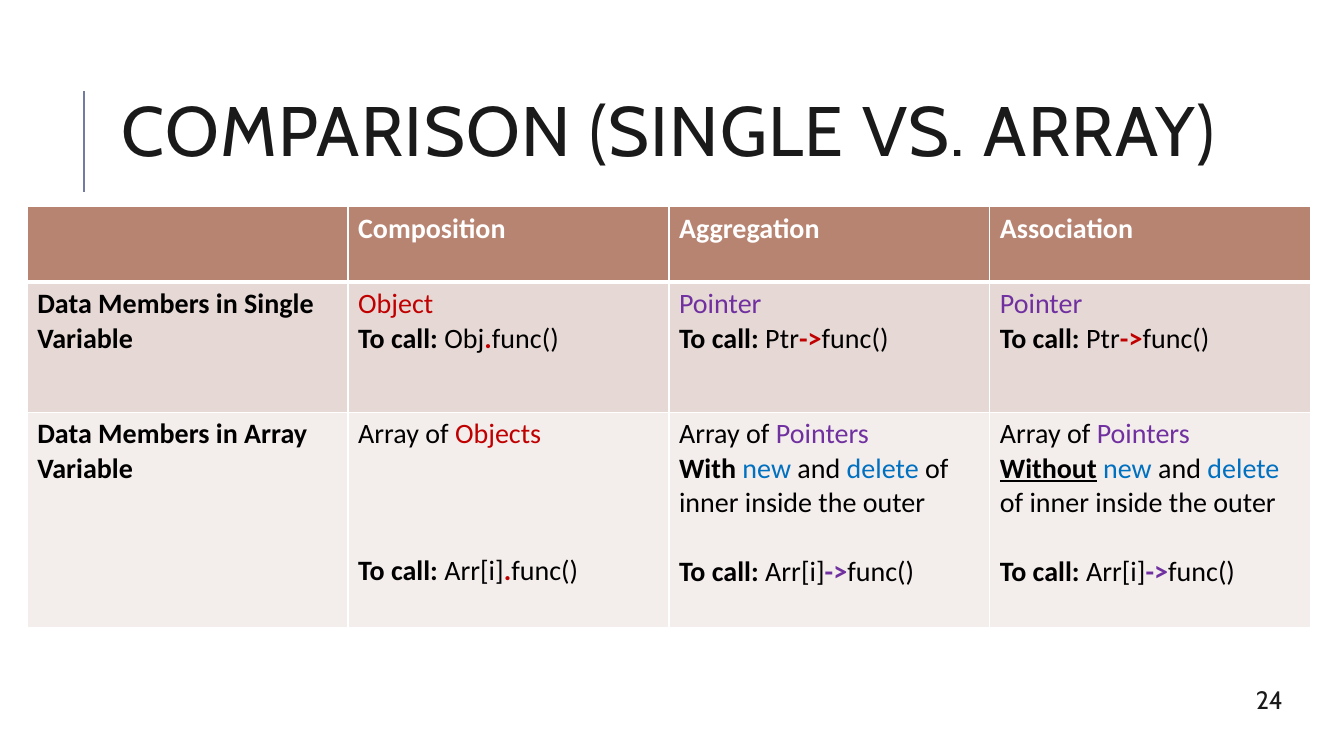
from dataclasses import dataclass

from lxml import etree
from pptx import Presentation
from pptx.dml.color import RGBColor
from pptx.enum.shapes import MSO_CONNECTOR
from pptx.enum.text import MSO_ANCHOR, MSO_AUTO_SIZE, PP_ALIGN
from pptx.oxml.ns import qn
from pptx.util import Inches, Pt

STRAIGHT = MSO_CONNECTOR.STRAIGHT
MIDDLE = MSO_ANCHOR.MIDDLE
NO_AUTOFIT = MSO_AUTO_SIZE.NONE
LEFT, CENTER = PP_ALIGN.LEFT, PP_ALIGN.CENTER
TITLE_ONLY = 5


@dataclass(frozen=True)
class Theme:
    heading_font: str = "Cabin"
    body_font: str = "Calibri"
    title_size: float = 50
    table_size: float = 20
    number_size: float = 18
    table_line: float = 24.4
    ink: str = "1A1A1A"
    black: str = "000000"
    white: str = "FFFFFF"
    red: str = "C00000"
    purple: str = "7030A0"
    blue: str = "0070C0"
    rule: str = "727CA3"
    row_fills: tuple = ("B88472", "E6D9D5", "F3EDEB")


THEME = Theme()


@dataclass(frozen=True)
class Span:
    text: str
    color: str = THEME.black
    bold: bool = False
    underline: bool = False


@dataclass(frozen=True)
class Para:
    spans: tuple
    lines_before: int = 0


def heading(text, color=THEME.black):
    return [Para((Span(text, color, bold=True),))]


def call_line(target, operator, color, lines_before=0):
    spans = (Span("To call: ", bold=True), Span(target),
             Span(operator, color, bold=True), Span("func()"))
    return Para(spans, lines_before)


def single_cell(kind, color, target, operator):
    return [Para((Span(kind, color),)), call_line(target, operator, THEME.red)]


def array_of(kind, color):
    return Para((Span("Array of "), Span(kind, color)))


def pointer_array_cell(*ownership):
    memory = ownership + (Span("new", THEME.blue), Span(" and "),
                          Span("delete", THEME.blue),
                          Span(" of inner inside the outer"))
    return [array_of("Pointers", THEME.purple), Para(memory),
            call_line("Arr[i]", "->", THEME.purple, lines_before=1)]


POINTER = single_cell("Pointer", THEME.purple, "Ptr", "->")
COMPARISON = [
    [[]] + [heading(name, THEME.white)
            for name in ("Composition", "Aggregation", "Association")],
    [heading("Data Members in Single Variable"),
     single_cell("Object", THEME.red, "Obj", "."), POINTER, POINTER],
    [heading("Data Members in Array Variable"),
     [array_of("Objects", THEME.red),
      call_line("Arr[i]", ".", THEME.red, lines_before=3)],
     pointer_array_cell(Span("With ", bold=True)),
     pointer_array_cell(Span("Without", bold=True, underline=True), Span(" "))],
]
ROW_HEIGHTS = (0.75, 1.29, 2.14)


def rgb(color):
    return RGBColor.from_string(color)


def set_font(font, name, size, color):
    font.name = name
    font.size = Pt(size)
    font.color.rgb = rgb(color)


def add_title(page, text, left, top, width, height):
    """Place the title with the thin vertical rule on its left."""
    title = page.shapes.title
    title.left, title.top = Inches(left), Inches(top)
    title.width, title.height = Inches(width), Inches(height)
    frame = title.text_frame
    frame.text = text
    frame.vertical_anchor = MIDDLE
    frame.auto_size = NO_AUTOFIT
    para = frame.paragraphs[0]
    para.alignment = LEFT
    para.line_spacing = 0.8
    set_font(para.font, THEME.heading_font, THEME.title_size, THEME.ink)
    para.runs[0].font._element.set("spc", "100")

    rule_x = Inches(left - 0.28)
    rule = page.shapes.add_connector(STRAIGHT, rule_x, Inches(top + 0.97),
                                     rule_x, Inches(top - 0.03))
    rule.line.color.rgb = rgb(THEME.rule)
    rule.line.width = Pt(1.5)
    etree.SubElement(rule._element.spPr, qn("a:effectLst"))


def add_border(cell, side, points):
    line = etree.SubElement(cell._tc.get_or_add_tcPr(), qn(f"a:ln{side}"),
                            w=str(Pt(points)))
    fill = etree.SubElement(line, qn("a:solidFill"))
    etree.SubElement(fill, qn("a:srgbClr"), val=THEME.white)


def write_cell(cell, paras):
    frame = cell.text_frame
    for index, content in enumerate(paras):
        para = frame.paragraphs[0] if index == 0 else frame.add_paragraph()
        para.space_before = Pt(content.lines_before * THEME.table_line)
        para.font.name = THEME.body_font
        para.font.size = Pt(THEME.table_size)
        for span in content.spans:
            run = para.add_run()
            run.text = span.text
            run.font.color.rgb = rgb(span.color)
            run.font.bold = span.bold
            run.font.underline = span.underline


def add_comparison(page, rows, left, top, width):
    columns = len(rows[0])
    table = page.shapes.add_table(len(rows), columns, Inches(left), Inches(top),
                                  Inches(width), Inches(sum(ROW_HEIGHTS))).table
    table.first_row = table.horz_banding = False
    for column in table.columns:
        column.width = Inches(width / columns)
    for row_index, row in enumerate(rows):
        table.rows[row_index].height = Inches(ROW_HEIGHTS[row_index])
        for column_index, paras in enumerate(row):
            cell = table.cell(row_index, column_index)
            write_cell(cell, paras)
            for side in "LRTB":
                thick = (row_index, side) in ((0, "B"), (1, "T"))
                add_border(cell, side, 3 if thick else 1)
            cell.fill.solid()
            cell.fill.fore_color.rgb = rgb(THEME.row_fills[row_index])


def add_page_number(page, number, left, top, width, height):
    box = page.shapes.add_textbox(Inches(left), Inches(top),
                                  Inches(width), Inches(height))
    frame = box.text_frame
    frame.word_wrap = True
    frame.vertical_anchor = MIDDLE
    frame.text = number
    para = frame.paragraphs[0]
    para.alignment = CENTER
    set_font(para.font, THEME.heading_font, THEME.number_size, THEME.ink)


def main():
    deck = Presentation()
    deck.slide_width, deck.slide_height = Inches(13.33), Inches(7.5)
    page = deck.slides.add_slide(deck.slide_layouts[TITLE_ONLY])
    add_title(page, "COMPARISON (SINGLE VS. ARRAY)", 1.11, 0.93, 11.61, 0.85)
    add_comparison(page, COMPARISON, 0.27, 2.05, 12.73)
    add_page_number(page, "24", 11.85, 6.66, 1.48, 0.56)
    deck.save("out.pptx")


if __name__ == "__main__":
    main()
